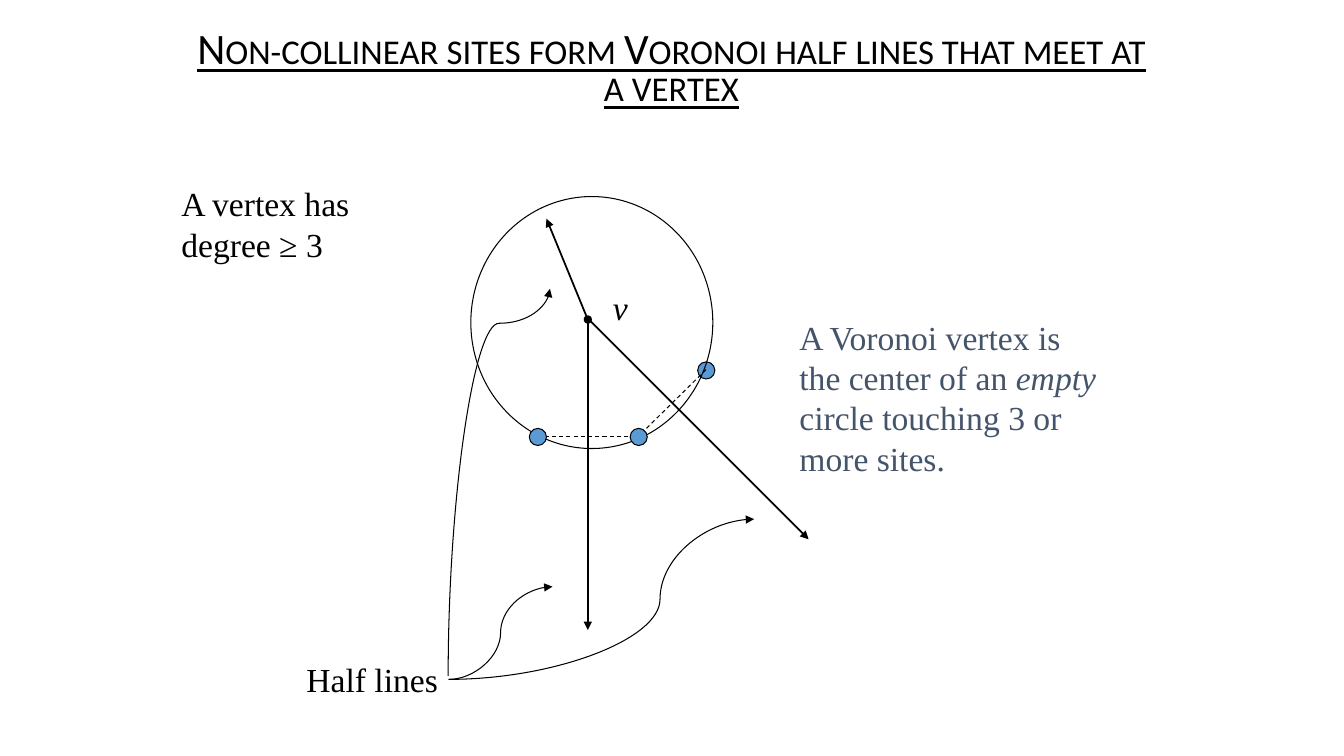
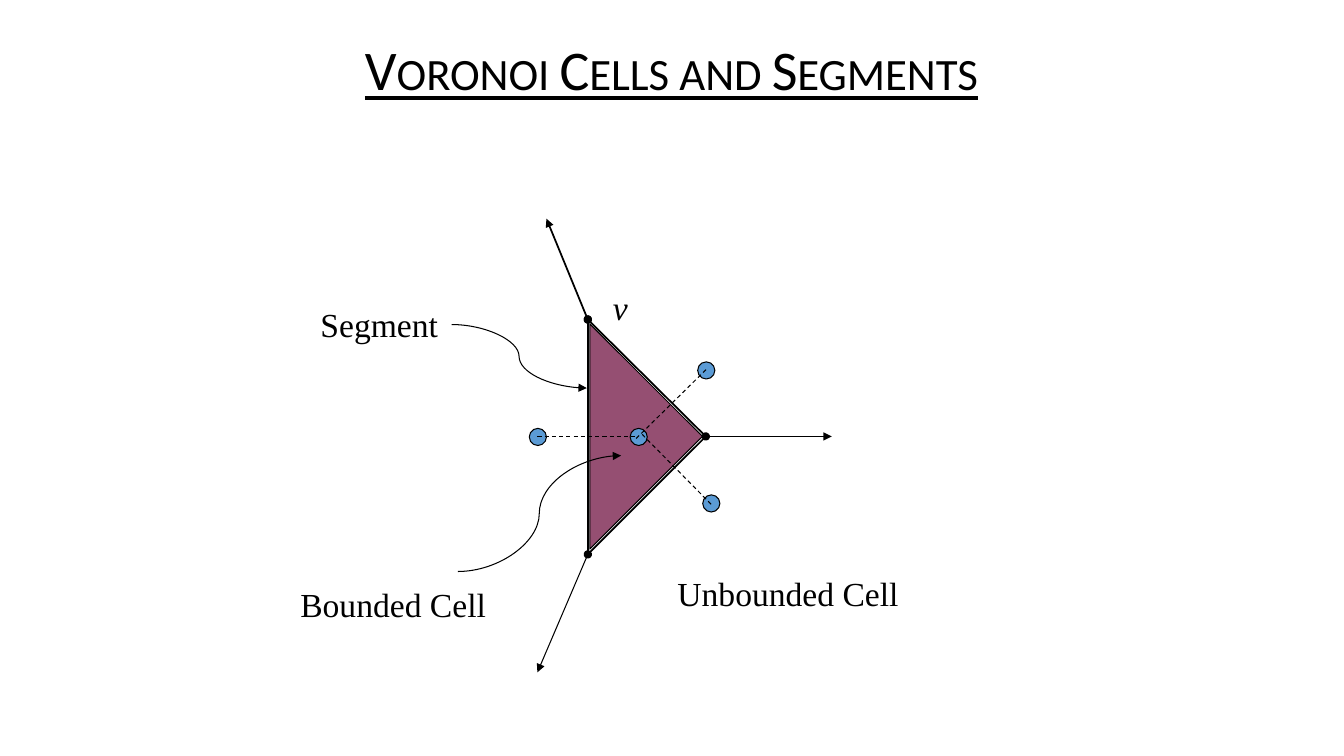
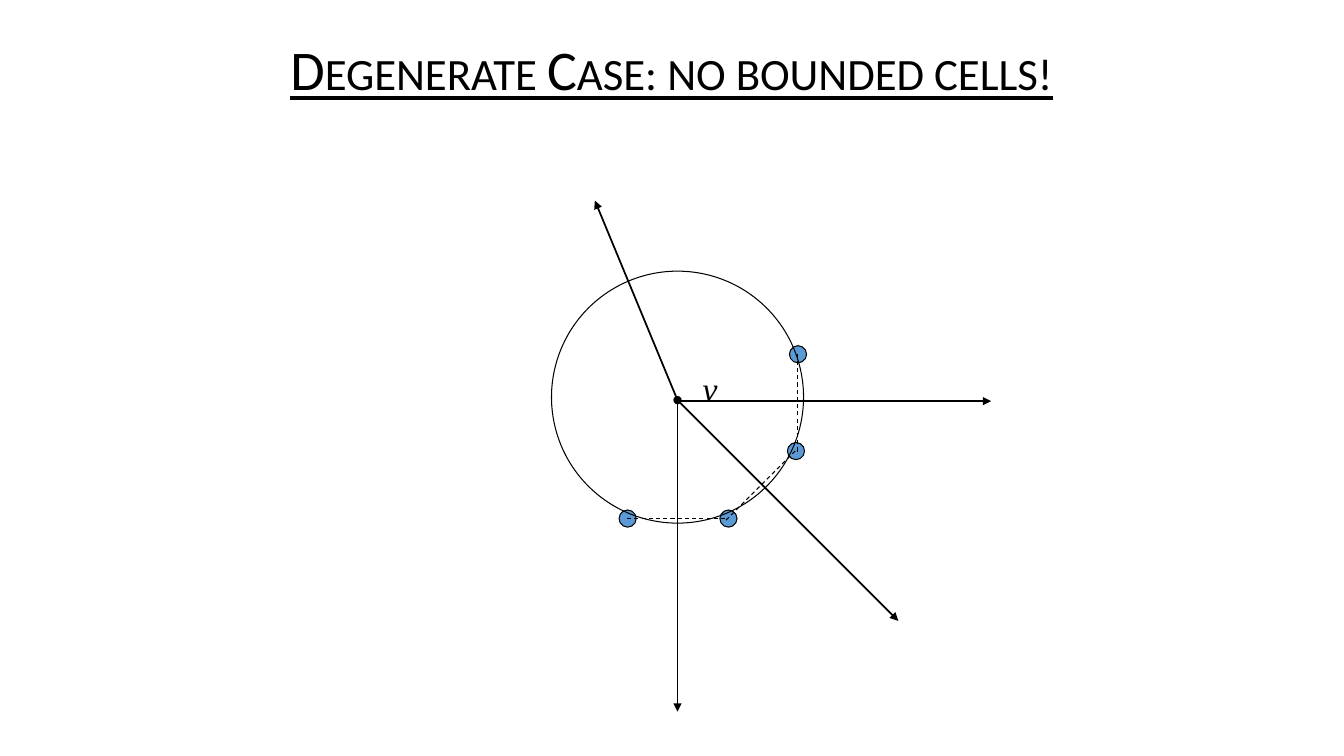
import lxml.etree
import pptx
import pptx.dml.color
import pptx.enum.dml
import pptx.enum.shapes
import pptx.enum.text
import pptx.oxml.ns
import pptx.util
from dataclasses import dataclass

PX = 9144  # one hundred px to the inch


@dataclass(frozen=True)
class Theme:
    ink = pptx.dml.color.RGBColor.from_string("000000")
    note = pptx.dml.color.RGBColor.from_string("44546A")
    site = pptx.dml.color.RGBColor.from_string("5B9BD5")
    cell = pptx.dml.color.RGBColor.from_string("954F72")
    title_font = "Calibri"
    label_font = "Times New Roman"
    label_size = 24
    thin = 0.75
    thick = 1.25
    site_size = 17


theme = Theme()
qn = pptx.oxml.ns.qn
shapes_enum = pptx.enum.shapes.MSO_SHAPE

# Line styles: width, dashed, mark at start, mark at end
strokes = {
    "dash": (theme.thin, True, None, None),
    "half line": (theme.thick, False, None, "triangle"),
    "half line from vertex": (theme.thick, False, "oval", "triangle"),
    "thin half line": (theme.thin, False, None, "triangle"),
    "segment": (theme.thick, False, None, None),
    "segment from vertex": (theme.thick, False, "oval", None),
    "segment between vertices": (theme.thick, False, "oval", "oval"),
    "pointer": (theme.thin, False, None, "triangle"),
}
outlines = {
    "circle": (shapes_enum.OVAL, None, 0),
    "site": (shapes_enum.OVAL, theme.site, 0),
    "cell": (shapes_enum.RIGHT_TRIANGLE, theme.cell, 225),
}

# Slides: title, size, line spacing, then the figure from back to front.
# Sites give their centre, outlines a box, lines two ends,
# pointers two ends, the bend in thousandths and a turn in degrees.
slides = [
    ("Non-collinear sites form Voronoi half lines that meet at a vertex", 31, 0.7, [
        ("dash", 533, 433, 633, 433),
        ("half line", 583, 317, 583, 625),
        ("site", 700, 367),
        ("dash", 631, 435, 702, 365),
        ("half line", 584, 317, 802, 535),
        ("circle", 467, 195, 240, 250),
        ("half line from vertex", 583, 317, 542, 217),
        ("site", 533, 433),
        ("site", 633, 433),
        ("pointer", 445, 674, 548, 582, 500, 0),
        ("pointer", 445, 674, 748, 515, 692, 0),
        ("pointer", 303, 428, 687, 529, 911, 270),
    ], [
        ("A Voronoi vertex is\nthe center of an *empty*\ncircle touching 3 or\nmore sites.",
         783, 309, 325, 172, theme.note),
        ("*v*", 598, 280, 35, 50, theme.ink),
        ("Half lines", 294, 649, 151, 50, theme.ink),
        ("A vertex has\ndegree ≥ 3", 170, 177, 188, 91, theme.ink),
    ]),
    ("Voronoi Cells and Segments", 40, 0.9, [
        ("cell", 506, 354, 158, 158),
        ("site", 533, 433),
        ("site", 633, 433),
        ("dash", 533, 433, 633, 433),
        ("segment", 583, 317, 583, 550),
        ("site", 700, 367),
        ("dash", 631, 435, 702, 365),
        ("half line from vertex", 583, 317, 542, 217),
        ("segment from vertex", 583, 317, 700, 433),
        ("site", 705, 499),
        ("dash", 637, 431, 707, 502),
        ("segment between vertices", 700, 433, 583, 550),
        ("thin half line", 583, 550, 533, 667),
        ("thin half line", 700, 433, 825, 433),
        ("pointer", 454, 567, 616, 452, 499, 0),
        ("pointer", 448, 322, 582, 385, 499, 0),
    ], [
        ("*v*", 598, 280, 35, 50, theme.ink),
        ("Unbounded Cell", 662, 563, 246, 50, theme.ink),
        ("Bounded Cell", 288, 574, 210, 50, theme.ink),
        ("Segment", 308, 297, 141, 50, theme.ink),
    ]),
    ("Degenerate Case: no bounded cells!", 40, 0.9, [
        ("site", 622, 514),
        ("site", 722, 514),
        ("dash", 622, 514, 722, 514),
        ("half line", 672, 397, 672, 706),
        ("site", 789, 447),
        ("dash", 720, 516, 791, 445),
        ("half line", 673, 398, 891, 616),
        ("half line from vertex", 672, 397, 590, 199),
        ("site", 791, 351),
        ("dash", 791, 448, 791, 348),
        ("half line", 674, 398, 983, 398),
        ("circle", 547, 269, 250, 250),
    ], [
        ("*v*", 687, 360, 35, 50, theme.ink),
    ]),
]


def add_text(slide, text, left, top, width, height, font_name, size, color):
    """Add a text box; asterisks enclose italic words."""
    box = slide.shapes.add_textbox(left * PX, top * PX, width * PX, height * PX)
    box.text_frame.word_wrap = False
    paragraph = box.text_frame.paragraphs[0]
    paragraph.font.name = font_name
    paragraph.font.size = pptx.util.Pt(size)
    paragraph.font.color.rgb = color
    for row, line in enumerate(text.split("\n")):
        if row:
            paragraph.add_line_break()
        for part, words in enumerate(line.split("*")):
            if words:
                run = paragraph.add_run()
                run.text = words
                if part % 2:
                    run.font.italic = True
    return box.text_frame


def add_line(slide, kind, x1, y1, x2, y2, bend=None, turn=0):
    """Add a straight line, or a curved pointer when a bend is given."""
    types = pptx.enum.shapes.MSO_CONNECTOR
    line = slide.shapes.add_connector(
        types.STRAIGHT if bend is None else types.CURVE,
        x1 * PX, y1 * PX, x2 * PX, y2 * PX)
    width, dashed, head, tail = strokes[kind]
    line.line.width = pptx.util.Pt(width)
    line.line.color.rgb = theme.ink
    if dashed:
        line.line.dash_style = pptx.enum.dml.MSO_LINE.DASH
    properties = line._element.spPr
    for tag, mark in (("a:headEnd", head), ("a:tailEnd", tail)):
        if mark:
            lxml.etree.SubElement(properties.find(qn("a:ln")), qn(tag), type=mark)
    lxml.etree.SubElement(properties, qn("a:effectLst"))
    if bend is not None:
        guides = properties.find(qn("a:prstGeom")).find(qn("a:avLst"))
        lxml.etree.SubElement(guides, qn("a:gd"), name="adj1", fmla=f"val {bend * 100}")
        if turn:
            properties.find(qn("a:xfrm")).set("rot", str(turn * 60000))


deck = pptx.Presentation()
deck.slide_width = 1333 * PX
deck.slide_height = 750 * PX

for title, title_size, spacing, figure, labels in slides:
    slide = deck.slides.add_slide(deck.slide_layouts[6])

    # Figure
    for kind, *place in figure:
        if kind in strokes:
            add_line(slide, kind, *place)
            continue
        if kind == "site":
            corner = [centre - theme.site_size // 2 for centre in place]
            place = corner + [theme.site_size] * 2
        preset, fill, rotation = outlines[kind]
        outline = slide.shapes.add_shape(preset, *[length * PX for length in place])
        outline.shadow.inherit = False
        outline.rotation = rotation
        outline.line.color.rgb = theme.ink
        outline.line.width = pptx.util.Pt(theme.thin)
        if fill is None:
            outline.fill.background()
        else:
            outline.fill.solid()
            outline.fill.fore_color.rgb = fill

    # Labels
    for text, left, top, width, height, color in labels:
        add_text(slide, text, left, top, width, height,
                 theme.label_font, theme.label_size, color)

    # Title in underlined small capitals
    heading = add_text(slide, title, 174, 29, 984, 85,
                       theme.title_font, title_size, theme.ink)
    heading.word_wrap = True
    heading.vertical_anchor = pptx.enum.text.MSO_ANCHOR.MIDDLE
    paragraph = heading.paragraphs[0]
    paragraph.alignment = pptx.enum.text.PP_ALIGN.CENTER
    paragraph.line_spacing = spacing
    paragraph.font.underline = True
    paragraph._p.pPr.find(qn("a:defRPr")).set("cap", "small")

deck.save("out.pptx")
